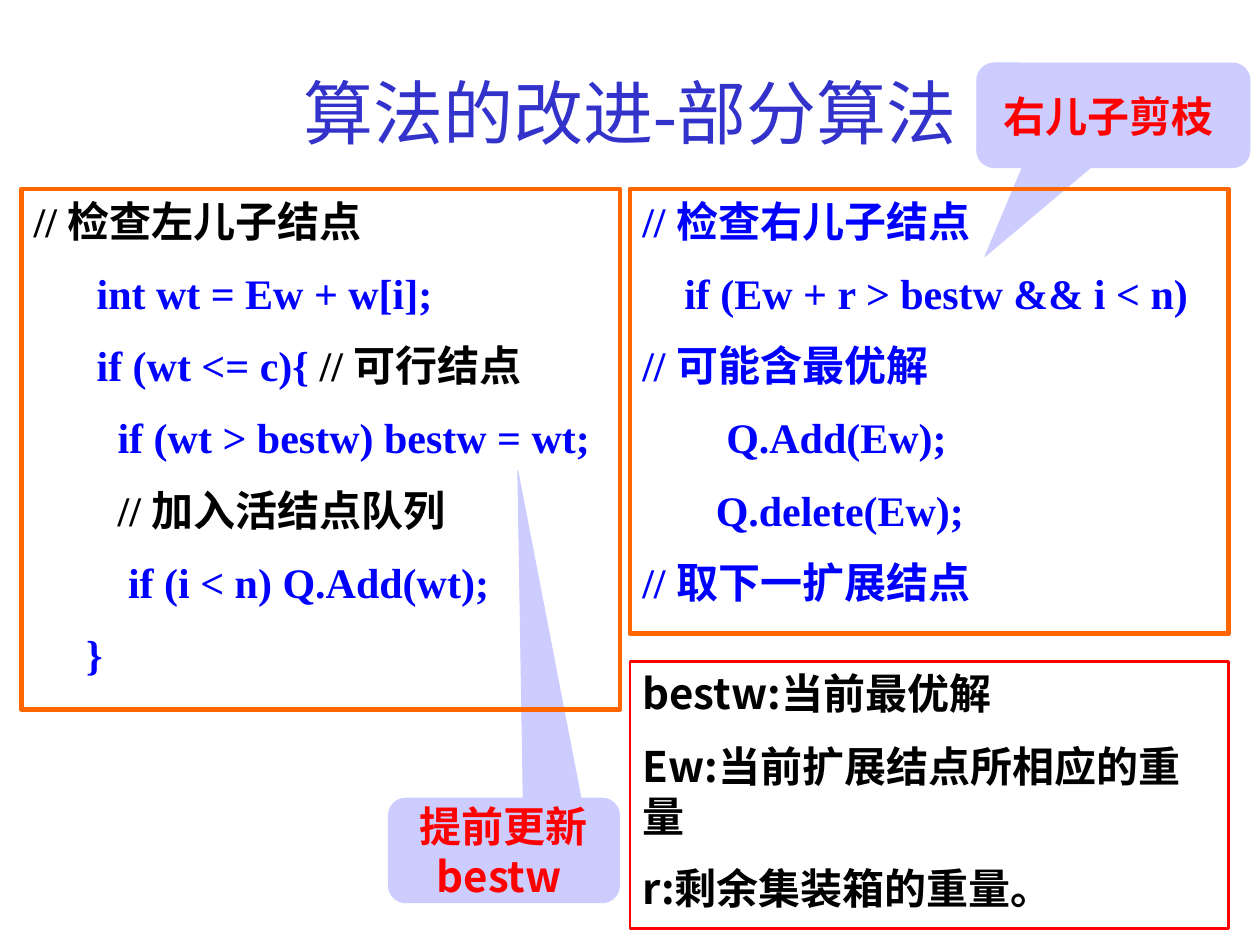
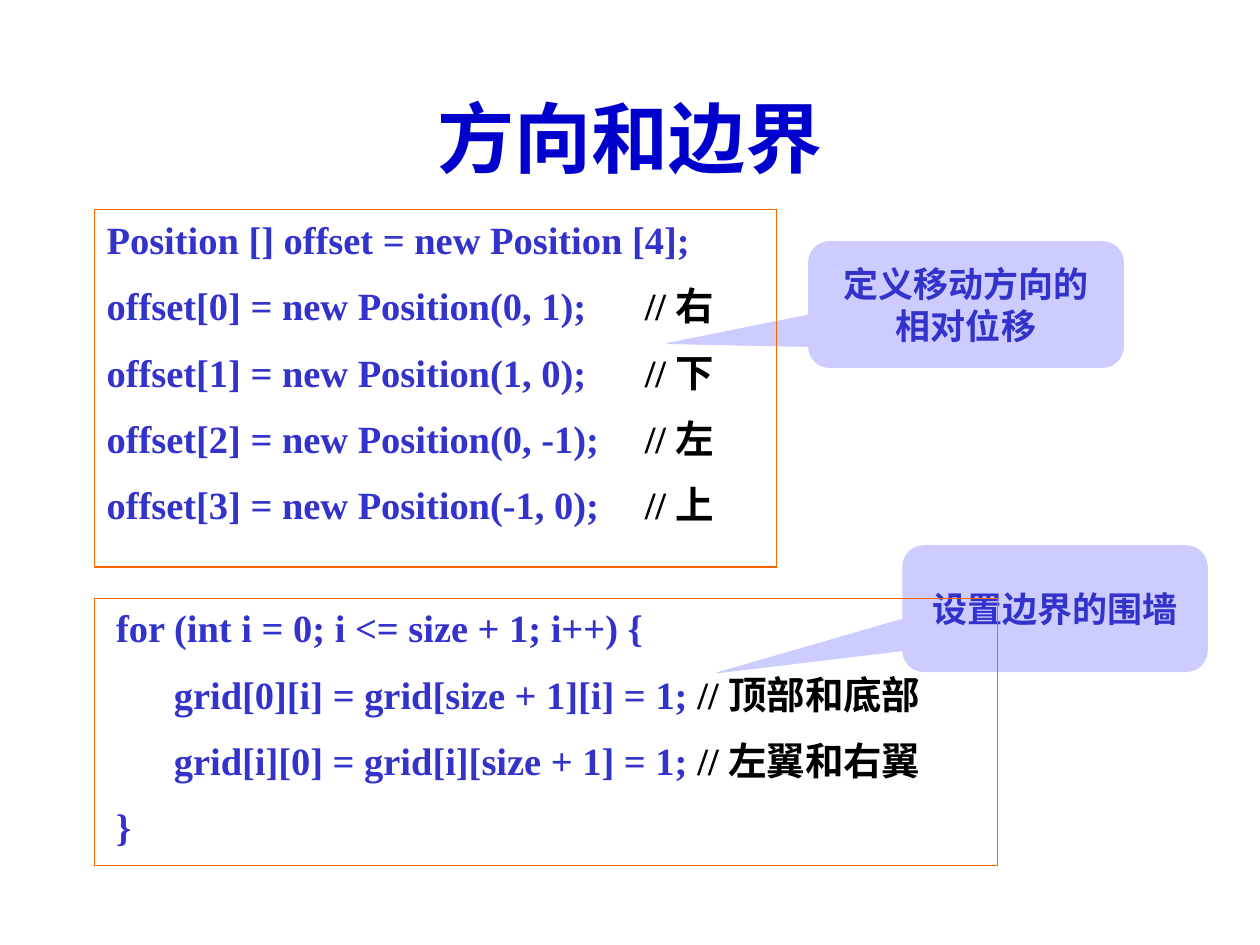
from lxml.etree import SubElement
from pptx import Presentation
from pptx.dml.color import RGBColor
from pptx.enum.shapes import MSO_SHAPE
from pptx.enum.text import MSO_ANCHOR, MSO_AUTO_SIZE, PP_ALIGN
from pptx.oxml.ns import qn
from pptx.util import Cm, Pt

# Shared look
SERIF, SANS = "Times New Roman", "Noto Sans CJK SC"
BLUE, NAVY, INDIGO = "0000FF", "0000CC", "3333CC"
BLACK, RED, ORANGE, LILAC = "000000", "FF0000", "FF6600", "CCCCFF"
TAB = Cm(10.85)
rgb = RGBColor.from_string


def write(para, text, size, color, bold=True, face=SERIF):
    """Add one run with its Latin and East Asian fonts."""
    run = para.add_run()
    run.text = text
    font = run.font
    font.name, font.size, font.bold = face, Pt(size), bold
    font.color.rgb = rgb(color)
    SubElement(run._r.rPr, qn("a:ea"), typeface=SANS)


def block(slide, kind, place, line, width, fill=None):
    """Add a shape and return it, ready for text."""
    shape = slide.shapes.add_shape(kind, *map(Cm, place))
    shape.shadow.inherit = False
    shape.line.color.rgb = rgb(line)
    shape.line.width = Pt(width)
    if fill:
        shape.fill.solid()
        shape.fill.fore_color.rgb = rgb(fill)
    else:
        shape.fill.background()
    frame = shape.text_frame
    frame.word_wrap = True
    frame.vertical_anchor = MSO_ANCHOR.MIDDLE if fill else MSO_ANCHOR.TOP
    return shape


deck = Presentation()
deck.slide_width, deck.slide_height = Cm(25.4), Cm(19.05)

# Titles: text, top, height, size, colour, bold
titles = [
    ("算法的改进-部分算法", 1.27, 2.34, 40, INDIGO, False),
    ("方向和边界", 1.7, 3.18, 44, NAVY, True),
]
slides = []
for text, top, height, size, color, bold in titles:
    slide = deck.slides.add_slide(deck.slide_layouts[5])
    slides.append(slide)
    title = slide.shapes.title
    title.left, title.top = Cm(1.9), Cm(top)
    title.width, title.height = Cm(21.6), Cm(height)
    frame = title.text_frame
    frame.auto_size = MSO_AUTO_SIZE.NONE
    frame.vertical_anchor = MSO_ANCHOR.TOP
    para = frame.paragraphs[0]
    para.alignment = PP_ALIGN.CENTER
    write(para, text, size, color, bold)
first, second = slides

# Callouts: slide, place, tip, text, size, colour
calls = [
    (first, (19.69, 1.27, 5.51, 2.11), (-0.47, 1.35), "右儿子剪枝 ", 24, RED),
    (first, (7.83, 16.09, 4.66, 2.11), (0.06, -3.63), "提前更新bestw ", 24, RED),
    (second, (18.2, 11, 6.14, 2.54), (-1.11, 0.51), "设置边界的围墙", 20, INDIGO),
    (second, (16.3, 4.87, 6.35, 2.54), (-0.95, 0.31), "定义移动方向的相对位移", 20, INDIGO),
]
for slide, place, tip, text, size, color in calls:
    call = block(slide, MSO_SHAPE.ROUNDED_RECTANGULAR_CALLOUT, place, LILAC, 0.5, LILAC)
    call.adjustments[0], call.adjustments[1] = tip
    para = call.text_frame.paragraphs[0]
    para.alignment = PP_ALIGN.CENTER
    write(para, text, size, color, face=SANS)

# Code and notes
left = """// 检查左儿子结点
      int wt = Ew + w[i];
      if (wt <= c){ // 可行结点
        if (wt > bestw) bestw = wt;
        // 加入活结点队列
         if (i < n) Q.Add(wt);
     }"""
right = """// 检查右儿子结点
    if (Ew + r > bestw && i < n)
// 可能含最优解
        Q.Add(Ew);
       Q.delete(Ew);
// 取下一扩展结点"""
terms = """bestw:当前最优解
Ew:当前扩展结点所相应的重量
r:剩余集装箱的重量。"""
moves = """Position [] offset = new Position [4];
offset[0] = new Position(0, 1);\t// 右
offset[1] = new Position(1, 0);\t// 下
offset[2] = new Position(0, -1);\t// 左
offset[3] = new Position(-1, 0);\t// 上"""
walls = """ for (int i = 0; i <= size + 1; i++) {
       grid[0][i] = grid[size + 1][i] = 1; // 顶部和底部
       grid[i][0] = grid[i][size + 1] = 1; // 左翼和右翼
 }"""

# Boxes: slide, place, line, width, text, size, code colour, note colour, face
boxes = [
    (first, (0.43, 3.81, 12.07, 10.49), ORANGE, 2.75, left, 24, BLUE, BLACK, SERIF),
    (first, (12.7, 3.81, 12.07, 8.97), ORANGE, 2.75, right, 24, BLUE, BLUE, SERIF),
    (first, (12.7, 13.34, 12.07, 5.38), RED, 1.5, terms, 24, BLACK, BLACK, SANS),
    (second, (1.9, 4.23, 13.76, 7.2), ORANGE, 0.75, moves, 22, INDIGO, BLACK, SERIF),
    (second, (1.9, 12.06, 18.2, 5.38), ORANGE, 0.5, walls, 22, INDIGO, BLACK, SERIF),
]
for slide, place, line, width, text, size, code, note, face in boxes:
    frame = block(slide, MSO_SHAPE.RECTANGLE, place, line, width).text_frame
    for row, words in enumerate(text.split("\n")):
        para = frame.add_paragraph() if row else frame.paragraphs[0]
        para.alignment = PP_ALIGN.LEFT if face == SANS else PP_ALIGN.JUSTIFY
        if row:
            para.space_before = Pt(size / 2 + 0.5)
        if "\t" in words:
            tabs = SubElement(para._p.get_or_add_pPr(), qn("a:tabLst"))
            SubElement(tabs, qn("a:tab"), pos=str(TAB), algn="l")
        head, mark, tail = words.partition("//")
        if head:
            write(para, head, size, code, face=face)
        if mark:
            write(para, mark + tail, size, note, face=face)

deck.save("out.pptx")
